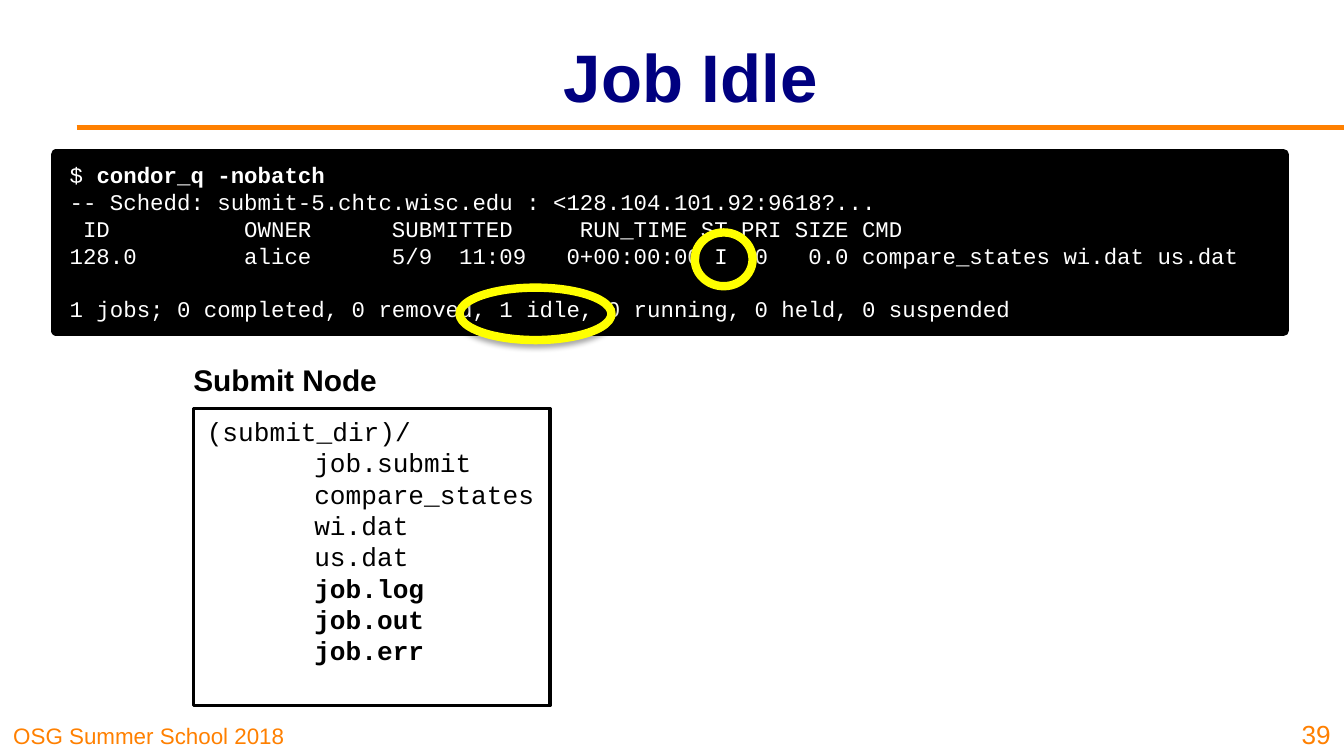
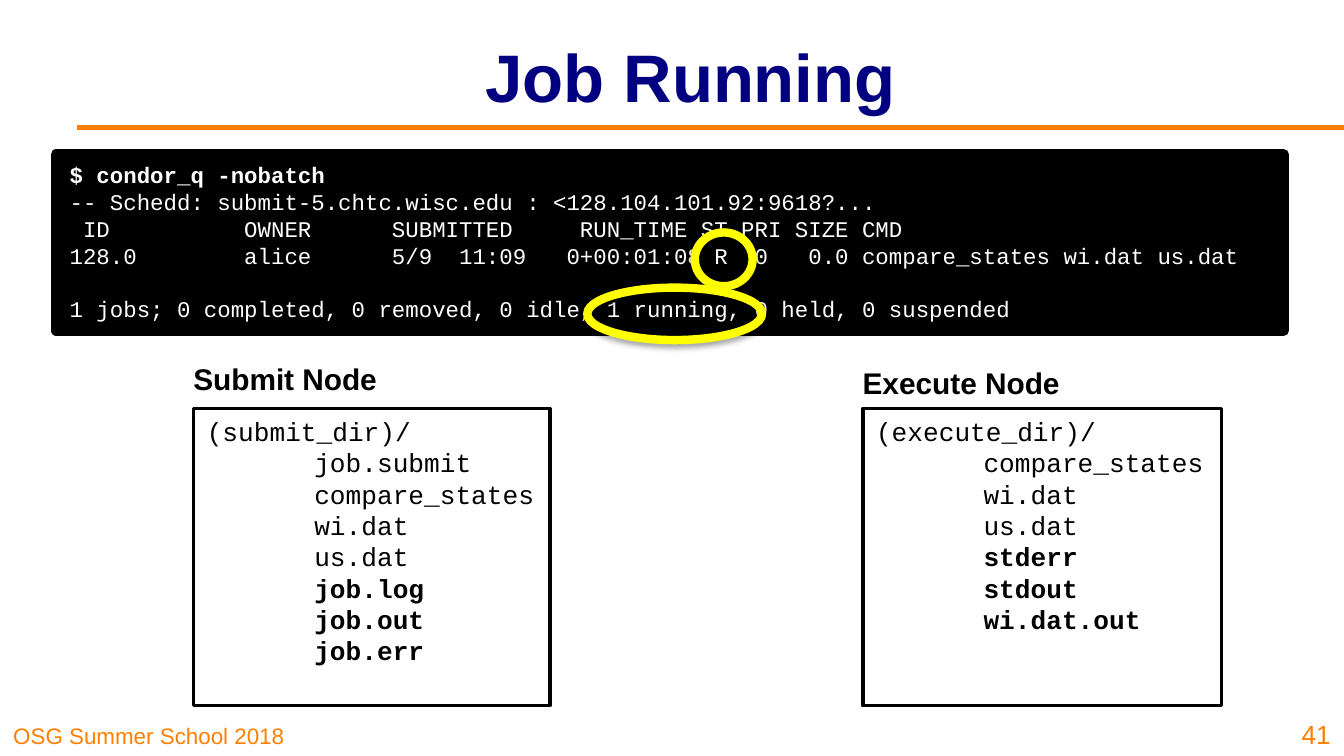
from lxml.etree import SubElement
from pptx import Presentation
from pptx.dml.color import RGBColor
from pptx.enum.shapes import MSO_CONNECTOR, MSO_SHAPE
from pptx.enum.text import MSO_ANCHOR as Anchor, MSO_AUTO_SIZE as Fit, PP_ALIGN as Align
from pptx.oxml.ns import qn
from pptx.util import Inches, Pt

BLACK = RGBColor(0x00, 0x00, 0x00)
WHITE = RGBColor(0xFF, 0xFF, 0xFF)
NAVY = RGBColor(0x00, 0x00, 0x80)
ORANGE = RGBColor(0xFF, 0x80, 0x00)
YELLOW = RGBColor(0xFF, 0xFF, 0x00)
SANS, MONO = "Arial", "Courier New"

# The slide is a grid of 100 columns by 56.25 rows of square cells.
WIDE, HIGH = Inches(10), Inches(5.625)
CELL = WIDE / 100
LEADING = 1.2
TAB = 8

SUBMIT = ("(submit_dir)/",
          ["job.submit", "compare_states", "wi.dat", "us.dat"],
          ["job.log", "job.out", "job.err"])
EXECUTE = ("(execute_dir)/",
           ["compare_states", "wi.dat", "us.dat"],
           ["stderr", "stdout", "wi.dat.out"])


def cells(*counts):
    """Turn counts of grid cells into lengths."""
    return [round(n * CELL) for n in counts]


def add_run(para, text, size, color, font=SANS, bold=False):
    run = para.add_run()
    run.text = text
    run.font.name, run.font.size, run.font.bold = font, Pt(size), bold
    run.font.color.rgb = color


def set_frame(frame, anchor):
    frame.word_wrap = True
    frame.auto_size = Fit.NONE
    frame.vertical_anchor = anchor


def add_label(slide, box, text, size, color, anchor, bold=False, align=Align.LEFT):
    frame = slide.shapes.add_textbox(*cells(*box)).text_frame
    set_frame(frame, anchor)
    para = frame.paragraphs[0]
    para.alignment = align
    add_run(para, text, size, color, bold=bold)


def add_box(slide, box, fill, width):
    """Add a black-edged box with round joins and return its text frame."""
    shape = slide.shapes.add_shape(MSO_SHAPE.RECTANGLE, *cells(*box))
    shape.shadow.inherit = False
    shape.fill.solid()
    shape.fill.fore_color.rgb = fill
    shape.line.color.rgb = BLACK
    shape.line.width = Pt(width)
    SubElement(shape._element.spPr.find(qn("a:ln")), qn("a:round"))
    frame = shape.text_frame
    set_frame(frame, Anchor.TOP)
    frame.margin_right = 0
    return frame


def add_lines(frame, lines, size, color):
    """Write lines of (runs, indent in cells, blank lines before); a run is (text, bold)."""
    for i, (runs, indent, gap) in enumerate(lines):
        para = frame.paragraphs[0] if i == 0 else frame.add_paragraph()
        para.alignment = Align.LEFT
        para.line_spacing = Pt(size * LEADING)
        if gap:
            para.space_before = Pt(gap * size * LEADING)
        if indent:
            props = para._p.get_or_add_pPr()
            props.set("marL", str(cells(indent)[0]))
            props.set("indent", "0")
        for text, bold in runs:
            add_run(para, text, size, color, MONO, bold)


def add_console(slide, prompt, time, state, idle, running):
    rows = [
        "-- Schedd: submit-5.chtc.wisc.edu : <128.104.101.92:9618?...",
        " ID          OWNER      SUBMITTED     RUN_TIME ST PRI SIZE CMD",
        f"128.0        alice      5/9  11:09   {time} {state}  0   0.0 "
        "compare_states wi.dat us.dat",
    ]
    total = (f"1 jobs; 0 completed, 0 removed, {idle} idle, "
             f"{running} running, 0 held, 0 suspended")
    lines = [(prompt, 0, 0)]
    lines += [([(row, False)], 0, 0) for row in rows]
    lines.append(([(total, False)], 0, 1))
    add_lines(add_box(slide, (4.2, 11.5, 91.3, 13.1), BLACK, 6), lines, 12, WHITE)


def add_ring(slide, *box):
    ring = slide.shapes.add_shape(MSO_SHAPE.OVAL, *cells(*box))
    ring.fill.background()
    ring.line.color.rgb = YELLOW
    ring.line.width = Pt(4.5)
    effects = SubElement(ring._element.spPr, qn("a:effectLst"))
    shade = SubElement(effects, qn("a:outerShdw"), blurRad=str(Pt(3.1)),
                       dist=str(Pt(1.8)), dir="5400000", rotWithShape="0")
    color = SubElement(shade, qn("a:srgbClr"), val=str(BLACK))
    SubElement(color, qn("a:alpha"), val="35000")


def add_node(slide, name, files, left, width, top):
    """Add a node's heading and, below it, its folder listing."""
    folder, inputs, outputs = files
    lines = [([(folder, False)], 0, 0)]
    lines += [([(file, False)], TAB, 0) for file in inputs]
    lines += [([(file, True)], TAB, 0) for file in outputs]
    add_lines(add_box(slide, (left, 30.4, width, 22.1), WHITE, 2), lines, 14, BLACK)
    add_label(slide, (left - 1, top, 16.8, 4.3), name, 16, BLACK, Anchor.MIDDLE, True)


def add_page(deck, title, number):
    """Add a slide with its title, rule, footer and number."""
    slide = deck.slides.add_slide(deck.slide_layouts[5])
    head = slide.shapes.title
    head.left, head.top, head.width, head.height = cells(13.4, 0.9, 76, 9.4)
    set_frame(head.text_frame, Anchor.MIDDLE)
    para = head.text_frame.paragraphs[0]
    para.alignment = Align.CENTER
    add_run(para, title, 36, NAVY, bold=True)

    rule = slide.shapes.add_connector(MSO_CONNECTOR.STRAIGHT, *cells(5.7, 9.5, 100, 9.5))
    rule.line.color.rgb = ORANGE
    rule.line.width = Pt(3)
    SubElement(rule._element.spPr, qn("a:effectLst"))

    add_label(slide, (0, 53.1, 24.8, 3.1), "OSG Summer School 2018", 12, ORANGE,
              Anchor.BOTTOM)
    add_label(slide, (95.4, 52.5, 4.6, 3.8), str(number), 14, ORANGE,
              Anchor.BOTTOM, align=Align.RIGHT)
    return slide


def add_status(slide, left, width):
    """Ring the job's state and its count in the summary line."""
    add_ring(slide, 51.7, 17.3, 4.3, 4)
    add_ring(slide, left, 21.4, width, 3.9)


def main():
    deck = Presentation()
    deck.slide_width, deck.slide_height = WIDE, HIGH

    idle = add_page(deck, "Job Idle", 39)
    add_console(idle, [("$ ", False), ("condor_q -nobatch", True)],
                "0+00:00:00", "I", 1, 0)
    add_status(idle, 34.2, 11.3)
    add_node(idle, "Submit Node", SUBMIT, 14.4, 26.5, 26.1)

    busy = add_page(deck, "Job Running", 41)
    add_console(busy, [("$ condor_q -nobatch", True)], "0+00:01:08", "R", 0, 1)
    add_status(busy, 43.7, 13)
    add_node(busy, "Submit Node", SUBMIT, 14.4, 26.5, 26)
    add_node(busy, "Execute Node", EXECUTE, 64.2, 26.7, 26.3)

    deck.save("out.pptx")


if __name__ == "__main__":
    main()
